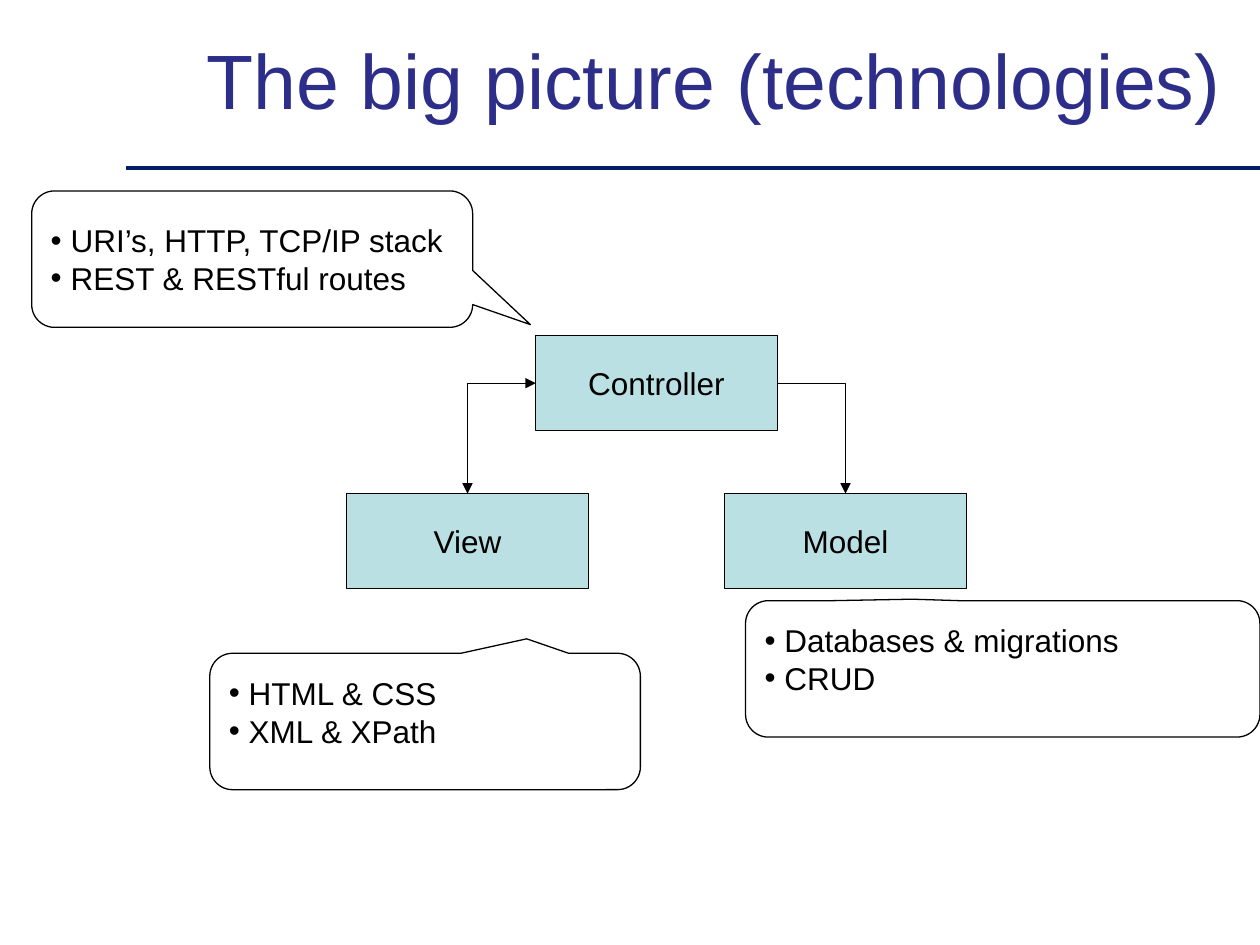
from lxml.etree import SubElement
from pptx import Presentation
from pptx.dml.color import RGBColor
from pptx.enum.shapes import MSO_CONNECTOR as Link, MSO_SHAPE as Shape
from pptx.enum.text import MSO_ANCHOR as Anchor, PP_ALIGN as Align
from pptx.oxml.ns import qn
from pptx.util import Cm, Pt

BLACK = RGBColor(0x00, 0x00, 0x00)
WHITE = RGBColor(0xFF, 0xFF, 0xFF)
TEAL = RGBColor(0xBB, 0xE0, 0xE3)
NAVY = RGBColor(0x00, 0x20, 0x61)
INDIGO = RGBColor(0x2D, 0x2D, 0x8A)

TITLE = "The big picture (technologies)"
BODY = {"name": "Arial", "size": Pt(18)}
HEADING = {"name": "Arial", "size": Pt(44)}

# Left and top of each box, in cm
BOX_WIDTH, BOX_HEIGHT = 4.87, 1.91
BOXES = {"Controller": (10.8, 6.77), "View": (6.99, 9.95), "Model": (14.61, 9.95)}

# Target box, side of the controller, arrow ends
LINKS = [("View", 1, ("headEnd", "tailEnd")), ("Model", 3, ("tailEnd",))]

# Left, top, width, pointer tip, anchor, bullets
CALLOUT_HEIGHT = 2.75
CALLOUTS = [
    (0.64, 3.85, 8.89, (0.631, 0.48), Anchor.MIDDLE,
     ["URI’s, HTTP, TCP/IP stack", "REST & RESTful routes"]),
    (15.03, 12.11, 10.37, (-0.176, -0.511), Anchor.TOP,
     ["Databases & migrations", "CRUD"]),
    (4.23, 13.17, 8.68, (0.236, -0.606), Anchor.TOP,
     ["HTML & CSS", "XML & XPath"]),
]
CALLOUT_INSET, BULLET_INDENT = 0.28, 0.4


def write(para, text, style, color):
    span = para.add_run()
    span.text = text
    for name, value in style.items():
        setattr(span.font, name, value)
    span.font.color.rgb = color


def add_filled(page, kind, place, fill):
    shape = page.shapes.add_shape(kind, *map(Cm, place))
    shape.shadow.inherit = False
    shape.fill.solid()
    shape.fill.fore_color.rgb = fill
    shape.line.color.rgb = BLACK
    shape.line.width = Pt(0.75)
    return shape


def add_title(page):
    box = page.shapes.add_textbox(Cm(3.39), Cm(0), Cm(22.01), Cm(3.17))
    frame = box.text_frame
    frame.word_wrap = True
    frame.vertical_anchor = Anchor.MIDDLE
    frame.paragraphs[0].alignment = Align.CENTER
    write(frame.paragraphs[0], TITLE, HEADING, INDIGO)


def add_box(page, label, left, top):
    box = add_filled(page, Shape.RECTANGLE, (left, top, BOX_WIDTH, BOX_HEIGHT), TEAL)
    frame = box.text_frame
    frame.word_wrap = False
    frame.vertical_anchor = Anchor.MIDDLE
    frame.paragraphs[0].alignment = Align.CENTER
    write(frame.paragraphs[0], label, BODY, BLACK)
    return box


def add_line(page, kind, color, width, ends=(0, 0, 0, 0), arrows=()):
    line = page.shapes.add_connector(kind, *map(Cm, ends))
    line.line.color.rgb = color
    line.line.width = Pt(width)
    for arrow in arrows:
        SubElement(line.line._get_or_add_ln(), qn(f"a:{arrow}"), type="triangle")
    SubElement(line._element.spPr, qn("a:effectLst"))
    return line


def add_callout(page, left, top, width, tip, anchor, bullets):
    callout = add_filled(page, Shape.ROUNDED_RECTANGULAR_CALLOUT,
                         (left, top, width, CALLOUT_HEIGHT), WHITE)
    for index, value in enumerate((*tip, 0.167)):
        callout.adjustments[index] = value
    frame = callout.text_frame
    frame.word_wrap = True
    frame.vertical_anchor = anchor
    frame.margin_top = frame.margin_bottom = Cm(CALLOUT_INSET)
    for index, text in enumerate(bullets):
        para = frame.add_paragraph() if index else frame.paragraphs[0]
        para.alignment = Align.LEFT
        properties = para._p.get_or_add_pPr()
        properties.set("marL", str(Cm(BULLET_INDENT)))
        properties.set("indent", str(-Cm(BULLET_INDENT)))
        SubElement(properties, qn("a:buFont"), typeface="Arial")
        SubElement(properties, qn("a:buChar"), char="•")
        write(para, text, BODY, BLACK)


def main():
    deck = Presentation()
    deck.slide_width, deck.slide_height = Cm(25.4), Cm(19.05)
    page = deck.slides.add_slide(deck.slide_layouts[6])

    add_line(page, Link.STRAIGHT, NAVY, 2, (2.54, 3.39, 25.4, 3.39))
    add_title(page)
    boxes = {label: add_box(page, label, *place) for label, place in BOXES.items()}
    for target, side, arrows in LINKS:
        link = add_line(page, Link.ELBOW, BLACK, 0.75, arrows=arrows)
        link._element.spPr.find(qn("a:prstGeom")).set("prst", "bentConnector2")
        link.begin_connect(boxes["Controller"], side)
        link.end_connect(boxes[target], 0)
    for callout in CALLOUTS:
        add_callout(page, *callout)

    deck.save("out.pptx")


if __name__ == "__main__":
    main()
